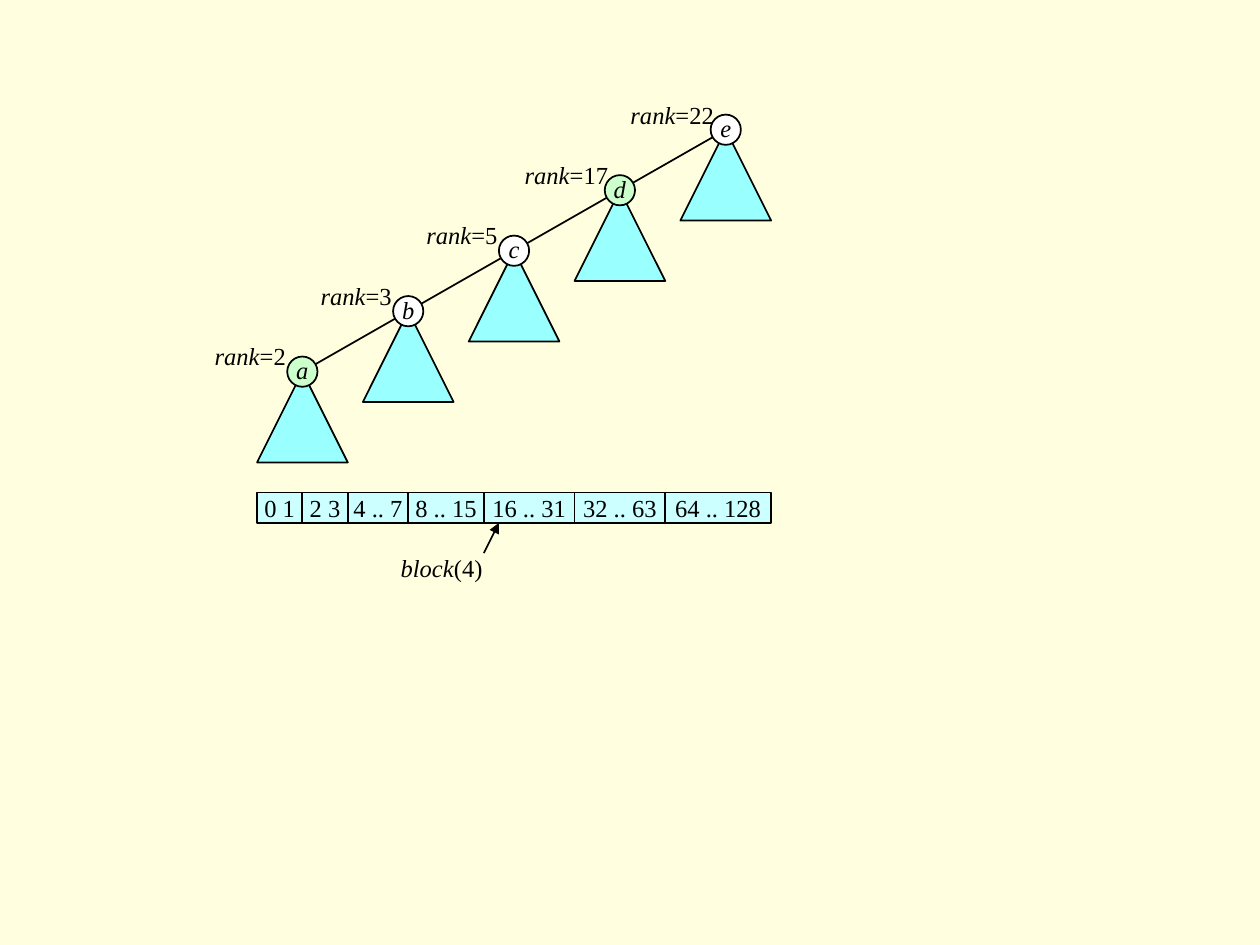
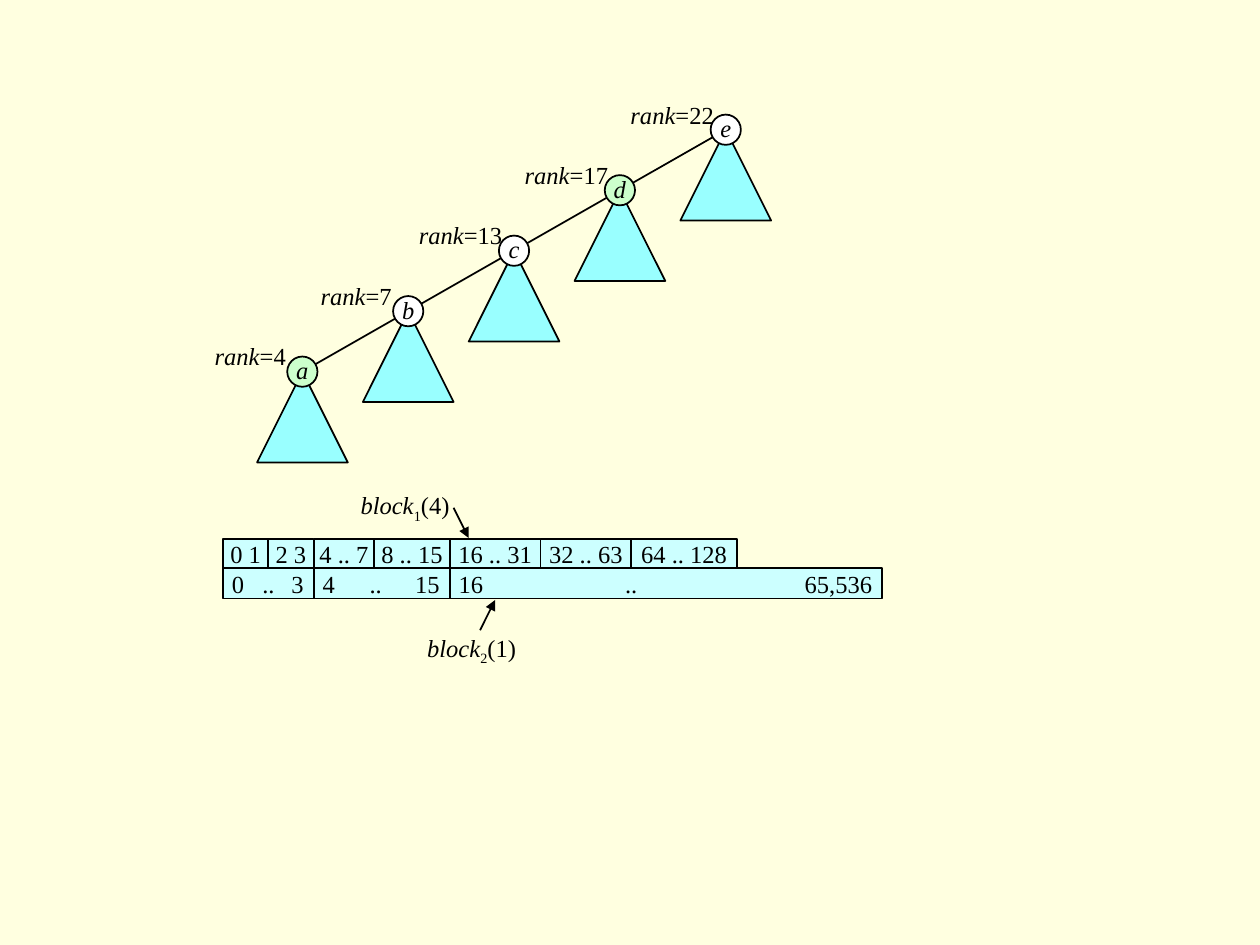
from dataclasses import dataclass
from itertools import accumulate, pairwise
from typing import NamedTuple

from lxml import etree
from pptx import Presentation
from pptx.dml.color import RGBColor
from pptx.enum.shapes import MSO_CONNECTOR, MSO_SHAPE
from pptx.enum.text import MSO_ANCHOR, MSO_AUTO_SIZE, PP_ALIGN
from pptx.oxml.ns import qn
from pptx.util import Inches, Length, Pt

STRAIGHT = MSO_CONNECTOR.STRAIGHT
RECTANGLE, ELLIPSE = MSO_SHAPE.RECTANGLE, MSO_SHAPE.OVAL
TRIANGLE = MSO_SHAPE.ISOSCELES_TRIANGLE
MIDDLE, TOP = MSO_ANCHOR.MIDDLE, MSO_ANCHOR.TOP
LEFT, CENTER = PP_ALIGN.LEFT, PP_ALIGN.CENTER
GROW = MSO_AUTO_SIZE.SHAPE_TO_FIT_TEXT


@dataclass(frozen=True)
class Theme:
    background: RGBColor = RGBColor(0xFF, 0xFF, 0xE0)
    ink: RGBColor = RGBColor(0, 0, 0)
    subtree: RGBColor = RGBColor(0x99, 0xFF, 0xFF)
    cell: RGBColor = RGBColor(0xCC, 0xFF, 0xFF)
    node: RGBColor = RGBColor(0xFF, 0xFF, 0xFF)
    marked_node: RGBColor = RGBColor(0xCC, 0xFF, 0xCC)
    font: str = "Times New Roman"
    size: Pt = Pt(14)
    line: Pt = Pt(1)


THEME = Theme()

# Grid: square units, with the first row slightly below the top edge
UNIT = 0.12
GRID_TOP = 0.07
CELL_INSET = 0.07  # inches beside spread-out text
SLIDE_SIZE = (Inches(10), Inches(7.5))


class Point(NamedTuple):
    col: float
    row: float


class Box(NamedTuple):
    col: float
    row: float
    cols: float
    rows: float


class Run(NamedTuple):
    text: str
    italic: bool = False
    subscript: bool = False


class Cell(NamedTuple):
    text: str
    cols: float
    dots_at: float = 0  # column of the dots when the text is spread out


class Band(NamedTuple):
    start: Point
    cells: list[Cell]


class Callout(NamedTuple):
    runs: list[Run]
    label: Box
    tail: Point
    tip: Point


class Diagram(NamedTuple):
    ranks: list[int]
    bands: list[Band]
    callouts: list[Callout]


# Content
NODES = "abcde"
MARKED = "ad"
FIRST_NODE = Point(20, 24)
NODE_STEP = Point(7, -4)

RANGES = [Cell("0 1", 3), Cell("2 3", 3), Cell("4 .. 7", 4), Cell("8 .. 15", 5),
          Cell("16 .. 31", 6), Cell("32 .. 63", 6), Cell("64 .. 128", 7)]
WIDE_RANGES = [Cell("0\t..\t3", 6, 3), Cell("4\t..\t15", 9, 4.1),
               Cell("16\t..\t65,536", 28.6, 12)]


def block_name(argument: int, level: str = "") -> list[Run]:
    subscript = [Run(level, subscript=True)] if level else []
    return [Run("block", italic=True), *subscript, Run(f"({argument})")]


DIAGRAMS = [
    Diagram(
        [2, 3, 5, 17, 22],
        [Band(Point(17, 32), RANGES)],
        [Callout(block_name(4), Box(26.5, 36, 6, 2), Point(32, 36), Point(33, 34))],
    ),
    Diagram(
        [4, 7, 13, 17, 22],
        [Band(Point(14.75, 35.05), RANGES), Band(Point(14.75, 37), WIDE_RANGES)],
        [Callout(block_name(4, "1"), Box(23.85, 31.85, 6.2, 2), Point(30, 33), Point(31, 35)),
         Callout(block_name(1, "2"), Box(28.25, 41.3, 6.2, 2),
                 Point(31.75, 41.1), Point(32.75, 39.1))],
    ),
]


# Grid helpers
def span(units: float) -> Length:
    return Inches(units * UNIT)


def down(row: float) -> Length:
    return Inches(GRID_TOP + row * UNIT)


def place(box: Box) -> tuple[Length, ...]:
    return span(box.col), down(box.row), span(box.cols), span(box.rows)


# Drawing helpers
def write(frame, runs: list[Run], align=CENTER, anchor=MIDDLE) -> None:
    frame.vertical_anchor = anchor
    paragraph = frame.paragraphs[0]
    paragraph.alignment = align
    for part in runs:
        run = paragraph.add_run()
        run.text = part.text
        font = run.font
        font.name, font.size, font.italic = THEME.font, THEME.size, part.italic
        font.color.rgb = THEME.ink
        if part.subscript:
            run._r.get_or_add_rPr().set("baseline", "-25000")


def set_insets(frame, left: float = 0, right: float = 0, bottom: float = 0) -> None:
    frame.margin_left, frame.margin_right = Inches(left), Inches(right)
    frame.margin_top, frame.margin_bottom = 0, Inches(bottom)


def add_outlined(shapes, preset, box: Box, fill: RGBColor):
    shape = shapes.add_shape(preset, *place(box))
    shape.shadow.inherit = False
    shape.fill.solid()
    shape.fill.fore_color.rgb = fill
    shape.line.color.rgb = THEME.ink
    shape.line.width = THEME.line
    shape.text_frame.word_wrap = False
    return shape


def add_line(shapes, start: Point, end: Point, arrow: bool = False) -> None:
    line = shapes.add_connector(STRAIGHT, span(start.col), down(start.row),
                                span(end.col), down(end.row))
    line.line.color.rgb = THEME.ink
    line.line.width = THEME.line
    if arrow:
        etree.SubElement(line.line._get_or_add_ln(), qn("a:tailEnd"), type="triangle")
    etree.SubElement(line._element.spPr, qn("a:effectLst"))


def add_label(shapes, runs: list[Run], box: Box) -> None:
    frame = shapes.add_textbox(*place(box)).text_frame
    set_insets(frame)
    frame.word_wrap = False
    frame.auto_size = GROW
    write(frame, runs, LEFT, TOP)


# Parts of the diagram
def add_tree(shapes, ranks: list[int]) -> None:
    centers = [Point(FIRST_NODE.col + i * NODE_STEP.col, FIRST_NODE.row + i * NODE_STEP.row)
               for i in range(len(NODES))]
    for child, parent in pairwise(centers):
        add_line(shapes, child, parent)
    for col, row in centers:
        add_outlined(shapes, TRIANGLE, Box(col - 3, row, 6, 6), THEME.subtree)
    for name, rank, (col, row) in zip(NODES, ranks, centers):
        fill = THEME.marked_node if name in MARKED else THEME.node
        node = add_outlined(shapes, ELLIPSE, Box(col - 1, row - 1, 2, 2), fill)
        set_insets(node.text_frame, bottom=0.03)
        write(node.text_frame, [Run(name, italic=True)])
        offset, width = (5.8, 5) if rank < 10 else (6.3, 5.8)
        add_label(shapes, [Run("rank", italic=True), Run(f"={rank}")],
                  Box(col - offset, row - 2, width, 2))


def spread_text(frame, cell: Cell) -> None:
    set_insets(frame, CELL_INSET, CELL_INSET)
    frame.word_wrap = True
    tabs = etree.SubElement(frame.paragraphs[0]._p.get_or_add_pPr(), qn("a:tabLst"))
    dots = span(cell.dots_at) - Inches(CELL_INSET)
    end = span(cell.cols) - Inches(2 * CELL_INSET + 0.01)
    for position, align in ((dots, "ctr"), (end, "r")):
        etree.SubElement(tabs, qn("a:tab"), pos=str(int(position)), algn=align)


def add_band(shapes, band: Band) -> None:
    offsets = accumulate((cell.cols for cell in band.cells), initial=band.start.col)
    for cell, col in zip(band.cells, offsets):
        box = Box(col, band.start.row, cell.cols, 2)
        frame = add_outlined(shapes, RECTANGLE, box, THEME.cell).text_frame
        if cell.dots_at:
            spread_text(frame, cell)
        write(frame, [Run(cell.text)], LEFT if cell.dots_at else CENTER)


def add_diagram(slide, diagram: Diagram) -> None:
    shapes = slide.shapes.add_group_shape().shapes
    add_tree(shapes, diagram.ranks)
    for band in diagram.bands:
        add_band(shapes, band)
    for callout in diagram.callouts:
        add_label(shapes, callout.runs, callout.label)
        add_line(shapes, callout.tail, callout.tip, arrow=True)


def main() -> None:
    deck = Presentation()
    deck.slide_width, deck.slide_height = SLIDE_SIZE
    background = deck.slide_master.background.fill
    background.solid()
    background.fore_color.rgb = THEME.background
    blank = deck.slide_layouts.get_by_name("Blank")
    for diagram in DIAGRAMS:
        add_diagram(deck.slides.add_slide(blank), diagram)
    deck.save("out.pptx")


if __name__ == "__main__":
    main()
